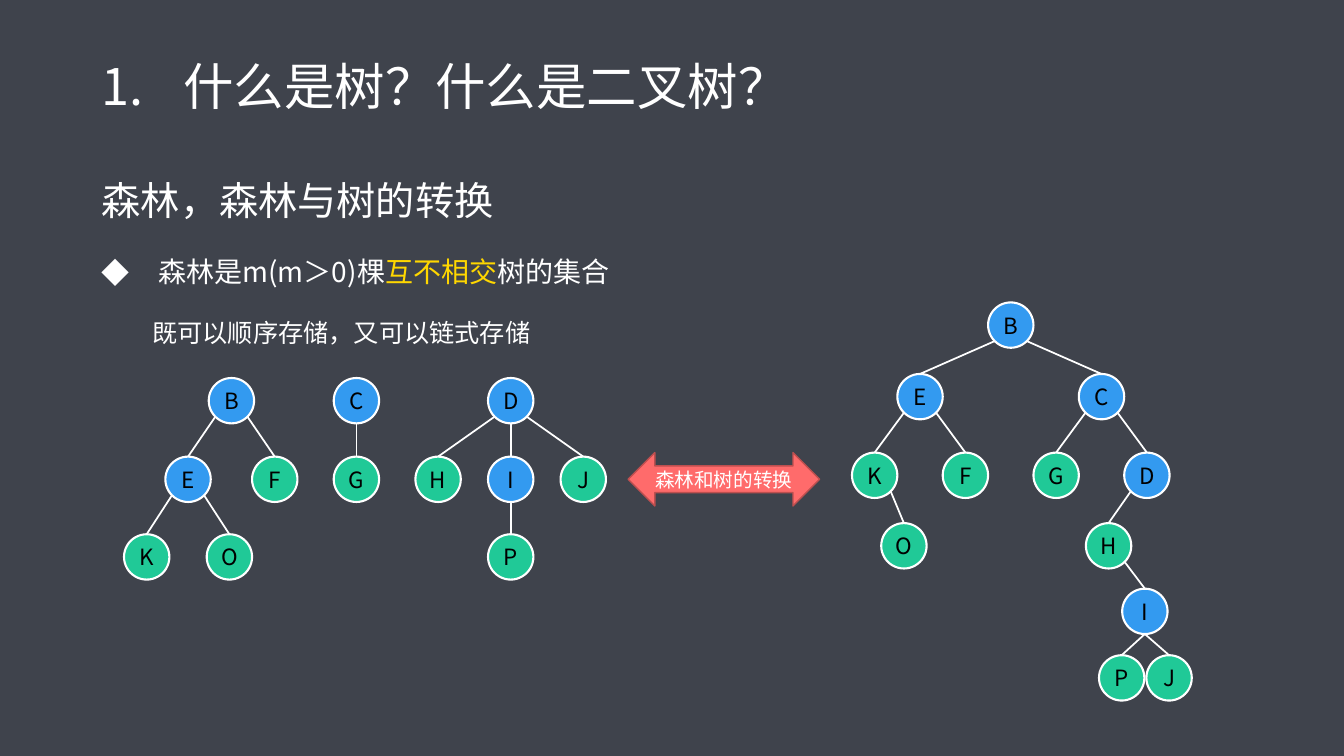
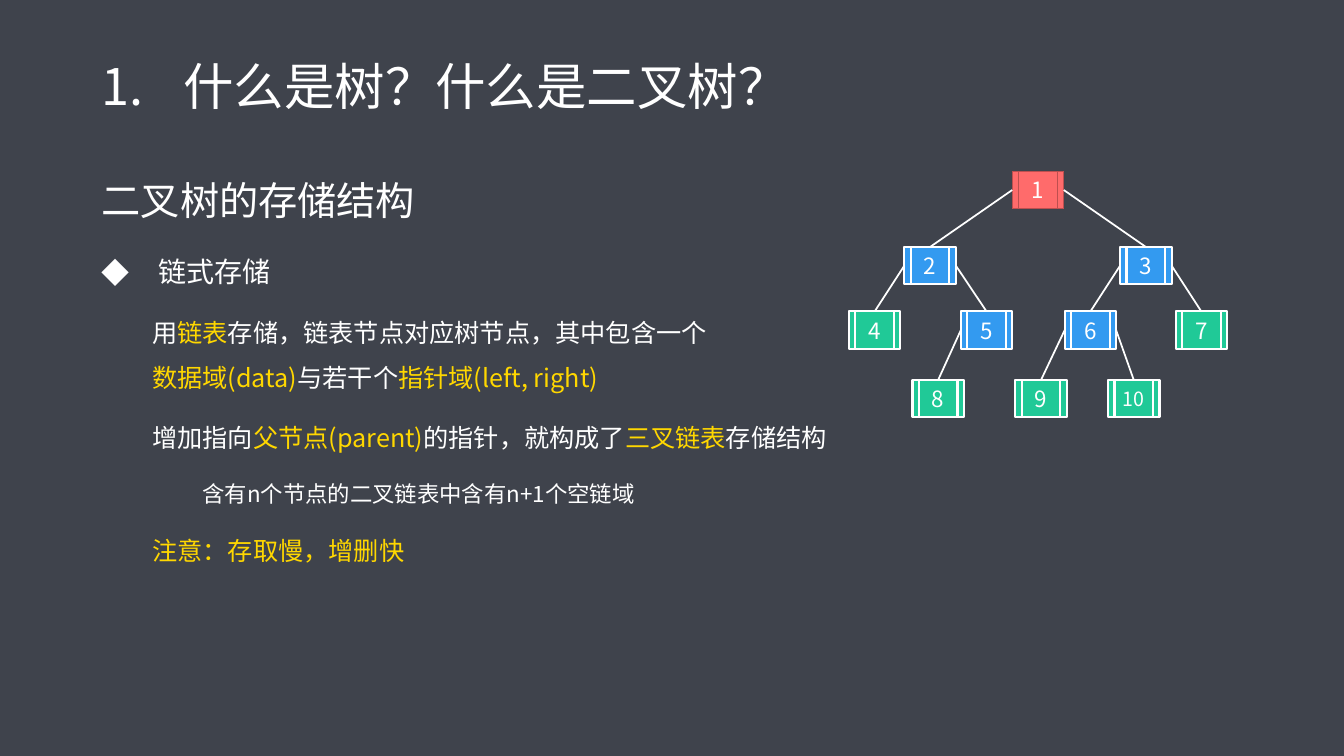
"""Build two slides on forests, trees and linked storage of binary trees."""
from dataclasses import dataclass
from typing import Any, Optional

import pptx
import pptx.dml.color
import pptx.enum.shapes
import pptx.enum.text
import pptx.oxml
import pptx.oxml.ns
import pptx.util

FONT = "Noto Sans CJK SC"
BACKGROUND, WHITE, BLACK, GOLD = "3F434C", "FFFFFF", "000000", "FFD700"
BLUE, GREEN, RED, DARK_RED = "339AF0", "20C997", "FF6B6B", "BD4F4F"
CELL = 0.1
SHAPES = pptx.enum.shapes.MSO_SHAPE
TOP, LEFT, RIGHT = 0, 1, 3
DIAGONAL = 0.5 ** 0.5
TITLE = "什么是树？什么是二叉树？"


@dataclass(frozen=True)
class Level:
    size: int
    margin: float = 0
    hanging: float = 0
    bullet: str = "<a:buNone/>"
    spacing: int = 150
    before: int = 10


@dataclass(frozen=True)
class Node:
    label: str
    col: float
    row: int
    parent: Optional[str] = None


@dataclass(frozen=True)
class Tree:
    nodes: tuple[Node, ...]
    row_tops: tuple[float, ...]


@dataclass(frozen=True)
class NodeStyle:
    outline: Any
    width: float
    height: float
    text_color: str
    inner: frozenset[str]
    root: str = ""


TITLE_LEVEL = Level(36, 0.81, 0.81, '<a:buAutoNum type="arabicPeriod"/>', 90, 0)
BODY_LEVELS = (Level(28), Level(20, 0.56, 0.56, '<a:buChar char="◆"/>'),
               Level(18, 0.5), Level(16, 1))

FOREST_ROWS = (37.5, 45.3, 53)
FOREST = (
    Tree((Node("B", 20.7, 0), Node("E", 16.4, 1, "B"), Node("F", 25, 1, "B"),
          Node("K", 12.3, 2, "E"), Node("O", 20.5, 2, "E")), FOREST_ROWS),
    Tree((Node("C", 33.1, 0), Node("G", 33.1, 1, "C")), FOREST_ROWS),
    Tree((Node("D", 48.4, 0), Node("H", 41.2, 1, "D"), Node("I", 48.4, 1, "D"),
          Node("J", 55.6, 1, "D"), Node("P", 48.4, 2, "I")), FOREST_ROWS),
)
CONVERTED = Tree(
    (Node("B", 98, 0), Node("E", 89, 1, "B"), Node("C", 107, 1, "B"),
     Node("K", 84.5, 2, "E"), Node("F", 93.5, 2, "E"),
     Node("G", 102.5, 2, "C"), Node("D", 111.5, 2, "C"),
     Node("O", 87.4, 3, "K"), Node("H", 107.7, 3, "D"),
     Node("I", 111.3, 4, "H"), Node("P", 109, 5, "I"), Node("J", 113.7, 5, "I")),
    (30, 37.1, 44.9, 51.9, 58.4, 65))
LINKED = Tree(
    (Node("1", 100.4, 0), Node("2", 89.7, 1, "1"), Node("3", 111.1, 1, "1"),
     Node("4", 84.2, 2, "2"), Node("5", 95.3, 2, "2"),
     Node("6", 105.6, 2, "3"), Node("7", 116.6, 2, "3"),
     Node("8", 90.5, 3, "5"), Node("9", 100.7, 3, "6"), Node("10", 109.9, 3, "6")),
    (17, 24.5, 30.9, 37.7))
CIRCLE = NodeStyle(SHAPES.OVAL, 4.5, 4.5, BLACK, frozenset("BCDEI"))
RECORD = NodeStyle(SHAPES.FLOWCHART_PREDEFINED_PROCESS, 5.1, 3.7, WHITE,
                   frozenset("2356"), "1")

FOREST_TEXT = (
    (0, "森林，森林与树的转换"),
    (1, "森林是m(m＞0)棵*互不相交*树的集合"),
    (2, "既可以顺序存储，又可以链式存储"),
)
LINKED_TEXT = (
    (0, "二叉树的存储结构"),
    (1, "链式存储"),
    (2, "用*链表*存储，链表节点对应树节点，其中包含一个\n"
        "*数据域(data)*与若干个*指针域(left, right)*"),
    (2, "增加指向*父节点(parent)*的指针，就构成了*三叉链表*存储结构"),
    (3, "含有n个节点的二叉链表中含有n+1个空链域"),
    (2, "*注意：存取慢，增删快*"),
)


def rgb(value: str) -> pptx.dml.color.RGBColor:
    """Turn a hex string into a colour."""
    return pptx.dml.color.RGBColor.from_string(value)


def cells(count: float) -> int:
    """Turn a number of grid cells into a length."""
    return pptx.util.Inches(count * CELL)


def set_level(style: Any, number: int, level: Level) -> None:
    """Replace one level of a master text style."""
    margin, hanging = (pptx.util.Inches(v) for v in (level.margin, level.hanging))
    new = pptx.oxml.parse_xml(
        f'<a:lvl{number}pPr {pptx.oxml.ns.nsdecls("a")} marL="{margin}" '
        f'indent="{-hanging}" algn="l">'
        f'<a:lnSpc><a:spcPct val="{level.spacing * 1000}"/></a:lnSpc>'
        f'<a:spcBef><a:spcPts val="{level.before * 100}"/></a:spcBef>'
        f'<a:buFont typeface="{FONT}"/>{level.bullet}'
        f'<a:defRPr sz="{level.size * 100}"><a:solidFill><a:srgbClr val="{WHITE}"/>'
        f'</a:solidFill><a:latin typeface="{FONT}"/><a:ea typeface="{FONT}"/>'
        f'</a:defRPr></a:lvl{number}pPr>')
    style.replace(style.find(pptx.oxml.ns.qn(f"a:lvl{number}pPr")), new)


def set_theme(deck: Any) -> Any:
    """Set the shared background, text styles and placeholder areas."""
    master, layout = deck.slide_master, deck.slide_layouts[1]
    master.background.fill.solid()
    master.background.fill.fore_color.rgb = rgb(BACKGROUND)
    styles = master.element.find(pptx.oxml.ns.qn("p:txStyles"))
    set_level(styles.find(pptx.oxml.ns.qn("p:titleStyle")), 1, TITLE_LEVEL)
    for number, level in enumerate(BODY_LEVELS, 1):
        set_level(styles.find(pptx.oxml.ns.qn("p:bodyStyle")), number, level)
    for area, top, height in zip(layout.placeholders, (2.9, 14.7), (11.8, 56.2)):
        area.left, area.top = cells(9.1), cells(top)
        area.width, area.height = cells(115), cells(height)
        area.text_frame.auto_size = pptx.enum.text.MSO_AUTO_SIZE.NONE
    return layout


def add_text_slide(deck: Any, layout: Any, outline: tuple[tuple[int, str], ...]) -> Any:
    """Add a slide with the title and an outline whose starred spans are gold."""
    slide = deck.slides.add_slide(layout)
    slide.shapes.title.text_frame.text = TITLE
    frame = slide.placeholders[1].text_frame
    for index, (level, content) in enumerate(outline):
        paragraph = frame.add_paragraph() if index else frame.paragraphs[0]
        paragraph.level = level
        for part, span in enumerate(content.split("*")):
            if not span:
                continue
            run = paragraph.add_run()
            run.text = span.rstrip("\n")
            if part % 2:
                run.font.color.rgb = rgb(GOLD)
            if span.endswith("\n"):
                paragraph.add_line_break()
    return slide


def add_labelled(shapes: Any, outline: Any, box: tuple[float, ...], label: str, fill: str,
                 line: str, weight: float, size: int, color: str) -> Any:
    """Draw a filled shape with a centred label."""
    shape = shapes.add_shape(outline, *(cells(v) for v in box))
    shape.shadow.inherit = False
    shape.fill.solid()
    shape.fill.fore_color.rgb = rgb(fill)
    shape.line.color.rgb = rgb(line)
    shape.line.width = pptx.util.Pt(weight)
    frame = shape.text_frame
    frame.margin_left = frame.margin_right = frame.margin_top = frame.margin_bottom = 0
    frame.vertical_anchor = pptx.enum.text.MSO_ANCHOR.MIDDLE
    frame.text = label
    frame.paragraphs[0].alignment = pptx.enum.text.PP_ALIGN.CENTER
    font = frame.paragraphs[0].runs[0].font
    font.name, font.size, font.color.rgb = FONT, pptx.util.Pt(size), rgb(color)
    pptx.oxml.ns.qn("a:ea")
    east_asian = pptx.oxml.parse_xml(
        f'<a:ea {pptx.oxml.ns.nsdecls("a")} typeface="{FONT}"/>')
    frame.paragraphs[0].runs[0]._r.get_or_add_rPr().append(east_asian)
    return shape


def add_branch(shapes: Any, parent: Any, child: Any, style: NodeStyle) -> None:
    """Draw the line from a parent node to the top of its child."""
    shift = child.left - parent.left
    side = (shift > 0) - (shift < 0)
    reach, drop = 1.0, 0.0
    if style.outline == SHAPES.OVAL:
        steep = abs(shift) < cells(2.5)
        reach, drop = (0, 1) if steep else (DIAGONAL, DIAGONAL)
    start_x = parent.left + round(parent.width * (1 + side * reach) / 2)
    start_y = parent.top + round(parent.height * (1 + drop) / 2)
    branch = shapes.add_connector(pptx.enum.shapes.MSO_CONNECTOR.STRAIGHT, start_x, start_y,
                                  child.left + child.width // 2, child.top)
    if style.outline != SHAPES.OVAL:
        branch.begin_connect(parent, LEFT if side < 0 else RIGHT)
    branch.end_connect(child, TOP)
    branch.line.color.rgb = rgb(WHITE)
    branch.line.width = pptx.util.Pt(1.25)
    branch._element.spPr.append(
        pptx.oxml.parse_xml(f'<a:effectLst {pptx.oxml.ns.nsdecls("a")}/>'))


def add_tree(slide: Any, tree: Tree, style: NodeStyle) -> None:
    """Draw a tree as one group of nodes and branches."""
    shapes = slide.shapes.add_group_shape().shapes
    drawn: dict[str, Any] = {}
    for node in tree.nodes:
        is_root = node.label == style.root
        fill = RED if is_root else BLUE if node.label in style.inner else GREEN
        box = (node.col, tree.row_tops[node.row], style.width, style.height)
        drawn[node.label] = add_labelled(
            shapes, style.outline, box, node.label, fill,
            DARK_RED if is_root else WHITE, 1 if is_root else 1.5,
            16 if len(node.label) == 1 else 14, style.text_color)
    for node in tree.nodes:
        if node.parent:
            add_branch(shapes, drawn[node.parent], drawn[node.label], style)


def main() -> None:
    """Build and save the deck."""
    deck = pptx.Presentation()
    deck.slide_width, deck.slide_height = pptx.util.Inches(13.33), pptx.util.Inches(7.5)
    layout = set_theme(deck)

    forest_slide = add_text_slide(deck, layout, FOREST_TEXT)
    for tree in (*FOREST, CONVERTED):
        add_tree(forest_slide, tree, CIRCLE)
    add_labelled(forest_slide.shapes, SHAPES.LEFT_RIGHT_ARROW, (62.3, 44.9, 19, 5.3),
                 "森林和树的转换", RED, DARK_RED, 1, 14, WHITE)

    linked_slide = add_text_slide(deck, layout, LINKED_TEXT)
    add_tree(linked_slide, LINKED, RECORD)
    deck.save("out.pptx")


if __name__ == "__main__":
    main()
